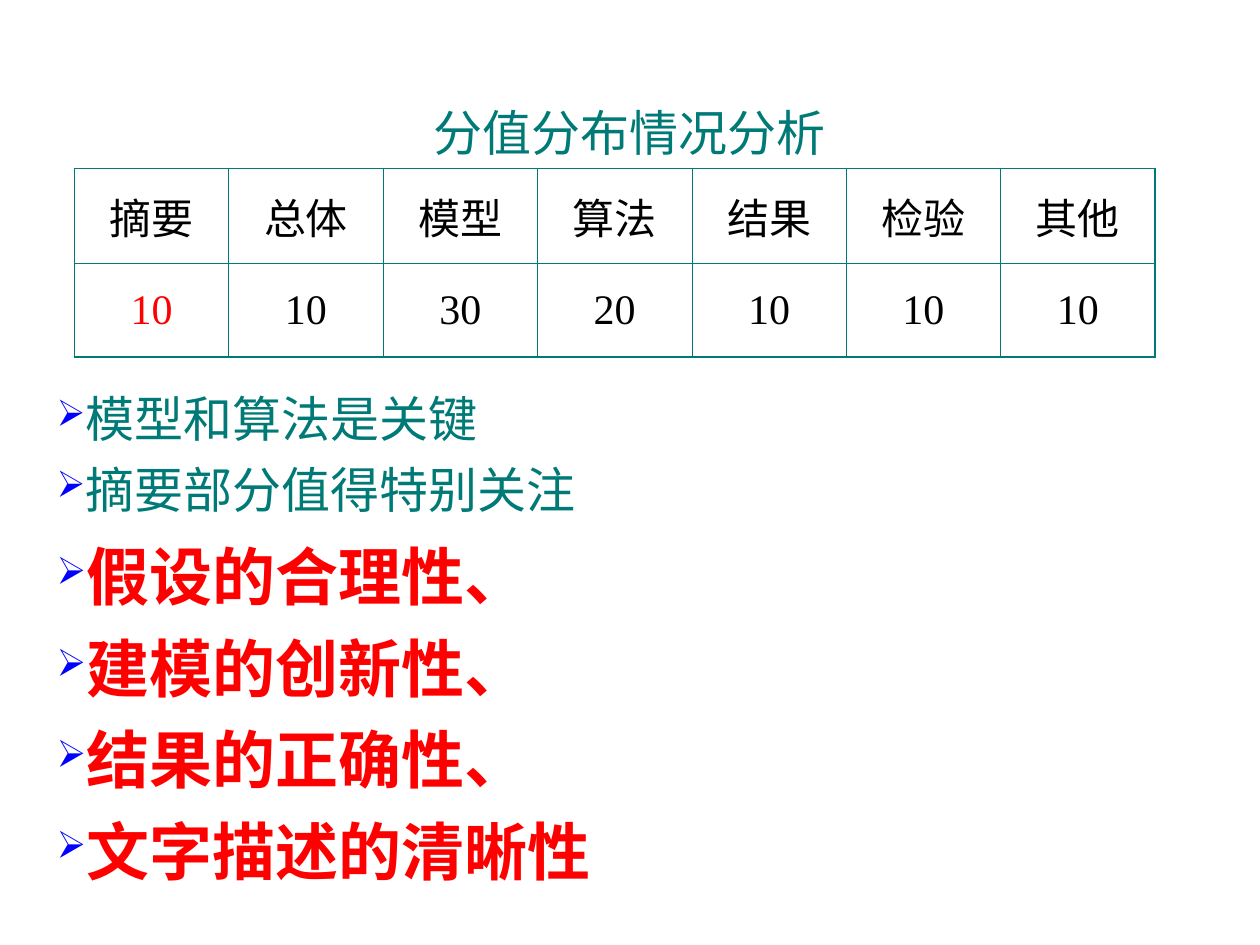
from dataclasses import dataclass

import pptx
import pptx.dml.color
import pptx.enum.text
import pptx.oxml.ns
import pptx.util
from lxml import etree

Cm = pptx.util.Cm
Pt = pptx.util.Pt
RGB = pptx.dml.color.RGBColor.from_string
ALIGN = pptx.enum.text.PP_ALIGN
ANCHOR = pptx.enum.text.MSO_ANCHOR


@dataclass(frozen=True)
class Theme:
    teal: str = "007A77"
    red: str = "FF0000"
    black: str = "000000"
    blue: str = "0000FF"
    serif: str = "Times New Roman"
    sans: str = "Lato"
    heading: int = 28
    cell: int = 24
    emphasis: int = 36
    outer_line: float = 1.08
    inner_line: float = 0.45


THEME = Theme()
SCORES = {"摘要": 10, "总体": 10, "模型": 30, "算法": 20,
          "结果": 10, "检验": 10, "其他": 10}
REMARKS = ["模型和算法是关键", "摘要部分值得特别关注"]
CRITERIA = ["假设的合理性、", "建模的创新性、", "结果的正确性、", "文字描述的清晰性"]


def write(paragraph, text, size, color, name=THEME.serif, bold=False):
    run = paragraph.add_run()
    run.text = text
    style = {"size": Pt(size), "name": name, "bold": bold}
    for attribute, value in style.items():
        setattr(run.font, attribute, value)
    run.font.color.rgb = RGB(color)


def add_child(parent, tag, **attributes):
    return etree.SubElement(parent, pptx.oxml.ns.qn(tag), attributes)


def add_bullet(paragraph, percent):
    properties = paragraph._p.get_or_add_pPr()
    properties.set("marL", "0")
    properties.set("indent", "0")
    add_child(add_child(properties, "a:buClr"), "a:srgbClr", val=THEME.blue)
    add_child(properties, "a:buSzPct", val=str(percent * 1000))
    add_child(properties, "a:buChar", char="➢")


def add_borders(cell, widths):
    """Draw the cell's sides; widths maps L, R, T and B to points."""
    properties = cell._tc.get_or_add_tcPr()
    for side, width in widths.items():
        line = add_child(properties, f"a:ln{side}", w=str(Pt(width)))
        add_child(add_child(line, "a:solidFill"), "a:srgbClr", val=THEME.teal)


def place_title(slide, box):
    title = slide.shapes.title
    for attribute, value in zip(("left", "top", "width", "height"), box):
        setattr(title, attribute, value)
    frame = title.text_frame
    frame.vertical_anchor = ANCHOR.TOP
    frame.auto_size = pptx.enum.text.MSO_AUTO_SIZE.NONE
    heading = frame.paragraphs[0]
    heading.alignment = ALIGN.CENTER
    write(heading, "分值分布情况分析", THEME.heading, THEME.teal)


def place_scores(slide, box):
    rows = [list(SCORES), list(SCORES.values())]
    last_row, last_column = len(rows) - 1, len(SCORES) - 1
    table = slide.shapes.add_table(len(rows), len(SCORES), *box).table
    table.first_row = table.horz_banding = False
    for r, row in enumerate(rows):
        for c, value in enumerate(row):
            cell = table.cell(r, c)
            cell.vertical_anchor = ANCHOR.MIDDLE
            outer = {"L": c == 0, "R": c == last_column,
                     "T": r == 0, "B": r == last_row}
            add_borders(cell, {side: THEME.outer_line if edge else THEME.inner_line
                               for side, edge in outer.items()})
            cell.fill.background()
            entry = cell.text_frame.paragraphs[0]
            entry.alignment = ALIGN.CENTER
            highlighted = (r, c) == (last_row, 0)
            write(entry, str(value), THEME.cell,
                  THEME.red if highlighted else THEME.black)


def place_bullets(slide, box, lines, gap, percent, **style):
    frame = slide.shapes.add_textbox(*box).text_frame
    frame.word_wrap = True
    for i, line in enumerate(lines):
        paragraph = frame.add_paragraph() if i else frame.paragraphs[0]
        add_bullet(paragraph, percent)
        if i:
            paragraph.space_before = Pt(gap)
        write(paragraph, line, **style)


def main():
    deck = pptx.Presentation()
    deck.slide_width, deck.slide_height = Cm(25.4), Cm(19.05)
    slide = deck.slides.add_slide(deck.slide_layouts[5])
    left = Cm(0.89)
    place_title(slide, (left, Cm(1.93), Cm(23.6), Cm(1.45)))
    place_scores(slide, (Cm(1.5), Cm(3.4), Cm(21.79), Cm(3.8)))
    place_bullets(slide, (left, Cm(7.7), Cm(23.6), Cm(2.87)), REMARKS,
                  gap=7, percent=75, size=THEME.heading, color=THEME.teal)
    place_bullets(slide, (left, Cm(10.72), Cm(18.69), Cm(7.32)), CRITERIA,
                  gap=9, percent=60, size=THEME.emphasis, color=THEME.red,
                  name=THEME.sans, bold=True)
    deck.save("out.pptx")


if __name__ == "__main__":
    main()
